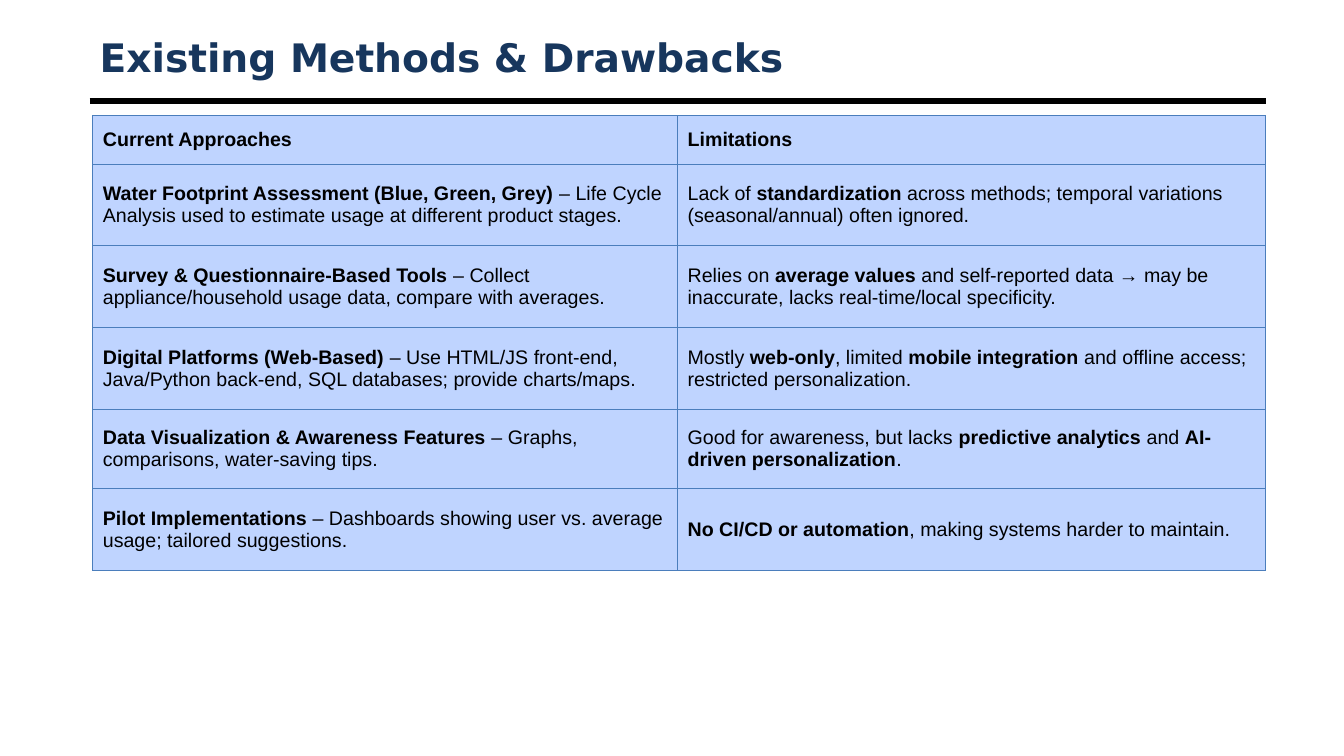
from lxml.etree import SubElement
from pptx import Presentation
from pptx.dml.color import RGBColor
from pptx.enum.shapes import MSO_CONNECTOR
from pptx.enum.text import MSO_ANCHOR
from pptx.oxml.ns import qn
from pptx.util import Emu, Pt

EMU_PER_PX = 9144  # 100 px to the inch
COLORS = {"title": "17365D", "text": "000000", "rule": "000000",
          "cell": "BFD4FF", "border": "4B7EBC"}
TITLE_FORMAT = {"name": "DejaVu Sans", "size": Pt(28), "bold": True}
CELL_FORMAT = {"name": "Arial", "size": Pt(14)}

COLUMN_WIDTHS = [580, 583]
ROW_HEIGHTS = [48, 81, 81, 81, 79, 81]

# Bold passages stand between double asterisks
ROWS = [
    ("**Current Approaches**", "**Limitations**"),
    ("**Water Footprint Assessment (Blue, Green, Grey)** – Life Cycle Analysis "
     "used to estimate usage at different product stages.",
     "Lack of **standardization** across methods; temporal variations "
     "(seasonal/annual) often ignored."),
    ("**Survey & Questionnaire-Based Tools** – Collect appliance/household usage "
     "data, compare with averages.",
     "Relies on **average values** and self-reported data → may be inaccurate, "
     "lacks real-time/local specificity."),
    ("**Digital Platforms (Web-Based)** – Use HTML/JS front-end, Java/Python "
     "back-end, SQL databases; provide charts/maps.",
     "Mostly **web-only**, limited **mobile integration** and offline access; "
     "restricted personalization."),
    ("**Data Visualization & Awareness Features** – Graphs, comparisons, "
     "water-saving tips.",
     "Good for awareness, but lacks **predictive analytics** and "
     "**AI-driven personalization**."),
    ("**Pilot Implementations** – Dashboards showing user vs. average usage; "
     "tailored suggestions.",
     "**No CI/CD or automation**, making systems harder to maintain."),
]


def px(length):
    return Emu(length * EMU_PER_PX)


def color(name):
    return RGBColor.from_string(COLORS[name])


def add_run(paragraph, text, color_name, font_format):
    run = paragraph.add_run()
    run.text = text
    for attribute, value in font_format.items():
        setattr(run.font, attribute, value)
    run.font.color.rgb = color(color_name)


def add_title(slide, text, left, top, width, height):
    shape = slide.shapes.add_textbox(px(left), px(top), px(width), px(height))
    frame = shape.text_frame
    frame.word_wrap = True
    frame.vertical_anchor = MSO_ANCHOR.MIDDLE
    add_run(frame.paragraphs[0], text, "title", TITLE_FORMAT)


def add_rule(slide, left, right, y, weight):
    connector = slide.shapes.add_connector(
        MSO_CONNECTOR.STRAIGHT, px(left), px(y), px(right), px(y))
    connector.line.color.rgb = color("rule")
    connector.line.width = Pt(weight)
    SubElement(connector._element.spPr, qn("a:effectLst"))


def set_borders(cell, weight):
    properties = cell._tc.get_or_add_tcPr()
    for position, side in enumerate(("a:lnL", "a:lnR", "a:lnT", "a:lnB")):
        line = properties.makeelement(qn(side), {"w": str(Pt(weight))})
        fill = SubElement(line, qn("a:solidFill"))
        SubElement(fill, qn("a:srgbClr"), val=COLORS["border"])
        properties.insert(position, line)


def fill_cell(cell, marked_text):
    cell.fill.solid()
    cell.fill.fore_color.rgb = color("cell")
    cell.vertical_anchor = MSO_ANCHOR.MIDDLE
    set_borders(cell, 0.75)
    paragraph = cell.text_frame.paragraphs[0]
    for index, text in enumerate(marked_text.split("**")):
        if text:
            add_run(paragraph, text, "text", {**CELL_FORMAT, "bold": index % 2 == 1})


def add_comparison_table(slide, left, top):
    table = slide.shapes.add_table(
        len(ROWS), len(COLUMN_WIDTHS), px(left), px(top),
        px(sum(COLUMN_WIDTHS)), px(sum(ROW_HEIGHTS))).table
    for column, width in zip(table.columns, COLUMN_WIDTHS):
        column.width = px(width)
    for row, height, texts in zip(table.rows, ROW_HEIGHTS, ROWS):
        row.height = px(height)
        for cell, text in zip(row.cells, texts):
            fill_cell(cell, text)


def main():
    presentation = Presentation()
    presentation.slide_width = px(1333)
    presentation.slide_height = px(750)
    slide = presentation.slides.add_slide(presentation.slide_layouts[6])

    # Heading with its rule
    add_rule(slide, 89, 1256, 100, 4.5)
    add_title(slide, "Existing Methods & Drawbacks", 89, 30, 1167, 53)

    # Approaches against limitations
    add_comparison_table(slide, 92, 115)

    presentation.save("out.pptx")


if __name__ == "__main__":
    main()
